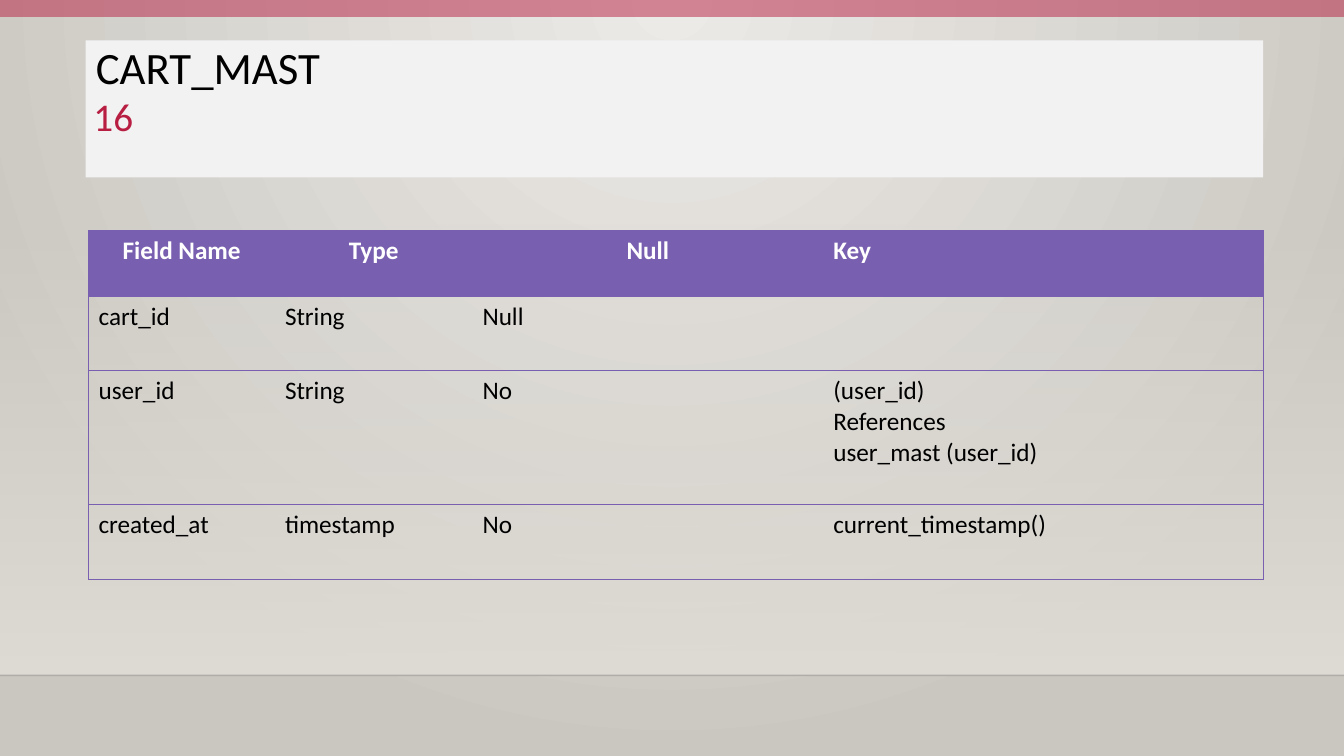
from pptx import Presentation
from pptx.dml.color import RGBColor
from pptx.enum.shapes import MSO_CONNECTOR, MSO_SHAPE
from pptx.enum.text import MSO_ANCHOR, PP_ALIGN
from pptx.oxml import parse_xml
from pptx.oxml.ns import nsdecls, qn
from pptx.util import Pt
from lxml.etree import SubElement

# Content
TITLE = "CART_MAST"
NUMBER = "16"
ROWS = [
    ("Field Name", "Type", "Null", "Key"),
    ("cart_id", "String", "Null", ""),
    ("user_id", "String", "No", "(user_id)\nReferences\nuser_mast (user_id)"),
    ("created_at", "timestamp", "No", "current_timestamp()"),
]

# Layout in points
WIDTH, HEIGHT = 960, 540
FLOOR = 482.4
PANEL = (0, 159, WIDTH, FLOOR - 159)
BAND = (0, 0, WIDTH, 12.2)
HEAD = (61.2, 28.8, 841, 98)
NUM = (38.2, 62.6, 64, 39.6)
GRID = (63.2, 164.9)
COLS = (133.2, 141.1, 250.6, 314.4)
TALL = (46.8, 53.1, 95.8, 53.3)

# Colours
BLACK = RGBColor(0, 0, 0)
WHITE = RGBColor(0xFF, 0xFF, 0xFF)
RED = RGBColor(0xB7, 0x1E, 0x42)
PURPLE = RGBColor(0x79, 0x5F, 0xAF)
PALE = RGBColor(0xF2, 0xF2, 0xF2)
SAND = RGBColor(0xDF, 0xDB, 0xD5)
LIGHT = RGBColor(0xEC, 0xEA, 0xE7)
STONE = RGBColor(0xCA, 0xC7, 0xC1)

NO_STYLE = "{2D5ABB26-0587-4C30-8999-92F81FD0307C}"
TITLE_FONT = {"name": "Calibri", "size": Pt(32), "bold": False}
NUM_FONT = {"name": "Calibri", "size": Pt(28)}
HEAD_FONT = {"name": "Calibri", "size": Pt(18), "bold": True}
CELL_FONT = {"name": "Calibri", "size": Pt(18), "bold": False}


def points(box):
    return [Pt(n) for n in box]


def style(para, form, color):
    for key, val in form.items():
        setattr(para.font, key, val)
    para.font.color.rgb = color


def fade(tag, percent):
    SubElement(tag, qn("a:alpha"), val=str(percent * 1000))


def blend(fill, first, last):
    fill.gradient()
    for stop, color in zip(fill.gradient_stops, (first, last)):
        stop.color.rgb = color


def block(slide, box):
    shape = slide.shapes.add_shape(MSO_SHAPE.RECTANGLE, *points(box))
    shape.shadow.inherit = False
    shape.line.fill.background()
    return shape


def edge(cell, side):
    cell._tc.get_or_add_tcPr().append(parse_xml(
        f'<a:ln{side} {nsdecls("a")} w="9525"><a:solidFill>'
        f'<a:srgbClr val="{PURPLE}"/></a:solidFill></a:ln{side}>'))


def backdrop(slide):
    # Radial glow from the top centre
    blend(slide.background.fill, LIGHT, STONE)
    grad = slide.element.find(".//" + qn("a:gradFill"))
    grad.remove(grad.find(qn("a:lin")))
    glow = SubElement(grad, qn("a:path"), path="circle")
    SubElement(glow, qn("a:fillToRect"), l="43000", t="0", r="43000", b="100000")

    # Panel that fades in downwards
    panel = block(slide, PANEL)
    blend(panel.fill, SAND, SAND)
    panel.fill.gradient_angle = 270
    fade(panel._element.find(".//" + qn("a:srgbClr")), 0)

    # Floor line
    line = slide.shapes.add_connector(
        MSO_CONNECTOR.STRAIGHT, *points((0, FLOOR, WIDTH, FLOOR)))
    line.line.width = Pt(1)
    line.line.color.rgb = BLACK
    fade(line._element.find(".//" + qn("a:srgbClr")), 20)
    SubElement(line._element.spPr, qn("a:effectLst"))

    # Top band
    band = block(slide, BAND)
    band.fill.solid()
    band.fill.fore_color.rgb = RED
    fade(band._element.find(".//" + qn("a:srgbClr")), 50)


def heading(slide):
    title = slide.shapes.title
    title.left, title.top, title.width, title.height = points(HEAD)
    title.fill.solid()
    title.fill.fore_color.rgb = PALE
    frame = title.text_frame
    frame.text = TITLE
    frame.vertical_anchor = MSO_ANCHOR.TOP
    para = frame.paragraphs[0]
    para.alignment = PP_ALIGN.LEFT
    para.line_spacing = 0.9
    style(para, TITLE_FONT, BLACK)


def fields(slide):
    size = (sum(COLS), sum(TALL))
    frame = slide.shapes.add_table(len(ROWS), len(COLS), *points(GRID + size))
    table = frame.table
    table._tbl.tblPr.find(qn("a:tableStyleId")).text = NO_STYLE
    for col, wide in zip(table.columns, COLS):
        col.width = Pt(wide)
    for r, (row, tall) in enumerate(zip(ROWS, TALL)):
        table.rows[r].height = Pt(tall)
        for c, text in enumerate(row):
            cell = table.cell(r, c)
            cell.text = text
            # Outer frame and row rules
            sides = ("L" if c == 0 else "") + ("R" if c == len(COLS) - 1 else "")
            for side in sides + "TB":
                edge(cell, side)
            if r == 0:
                cell.fill.solid()
                cell.fill.fore_color.rgb = PURPLE
            else:
                cell.fill.background()
            for para in cell.text_frame.paragraphs:
                middle = r == 0 and c < len(COLS) - 1
                para.alignment = PP_ALIGN.CENTER if middle else PP_ALIGN.LEFT
                style(para, CELL_FONT if r else HEAD_FONT, BLACK if r else WHITE)


def number(slide):
    frame = slide.shapes.add_textbox(*points(NUM)).text_frame
    frame.word_wrap = True
    frame.vertical_anchor = MSO_ANCHOR.MIDDLE
    frame.text = NUMBER
    frame.paragraphs[0].alignment = PP_ALIGN.RIGHT
    style(frame.paragraphs[0], NUM_FONT, RED)


def main():
    deck = Presentation()
    deck.slide_width, deck.slide_height = Pt(WIDTH), Pt(HEIGHT)
    slide = deck.slides.add_slide(deck.slide_layouts[5])
    for part in (backdrop, heading, fields, number):
        part(slide)
    deck.save("out.pptx")


if __name__ == "__main__":
    main()
